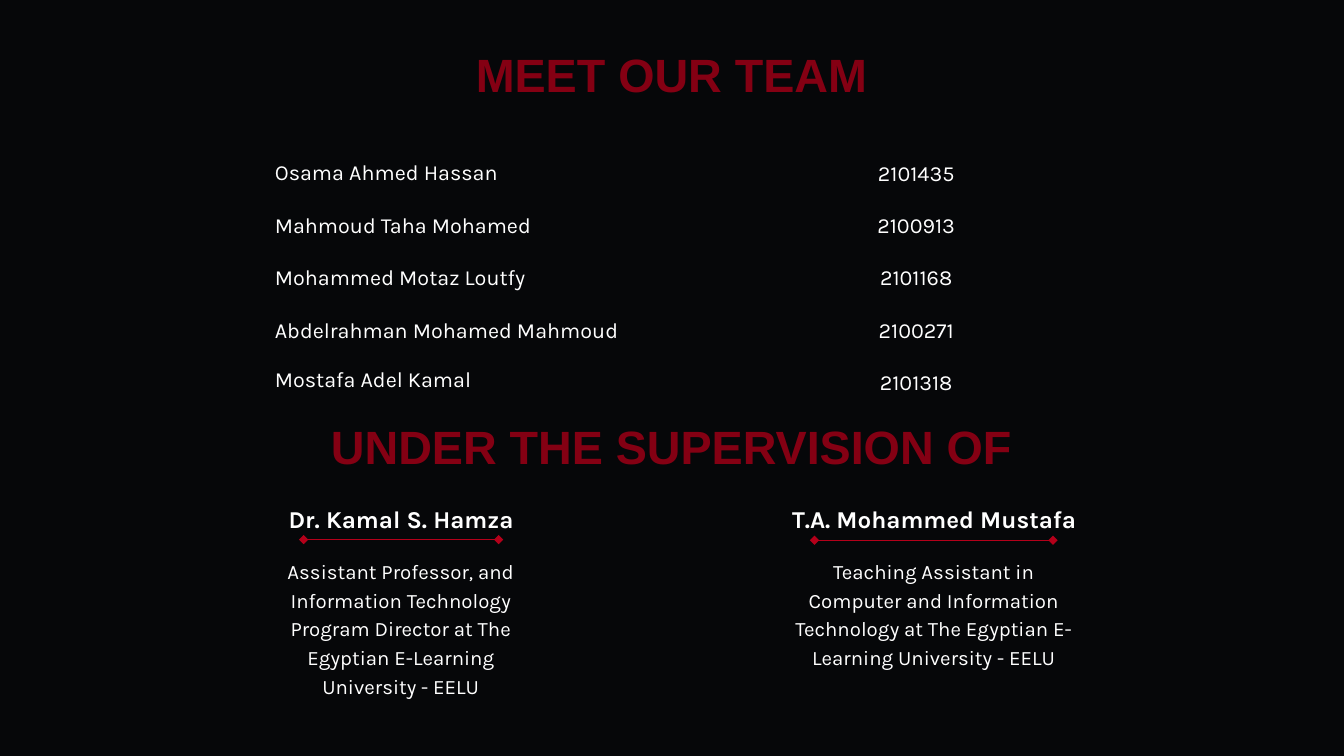
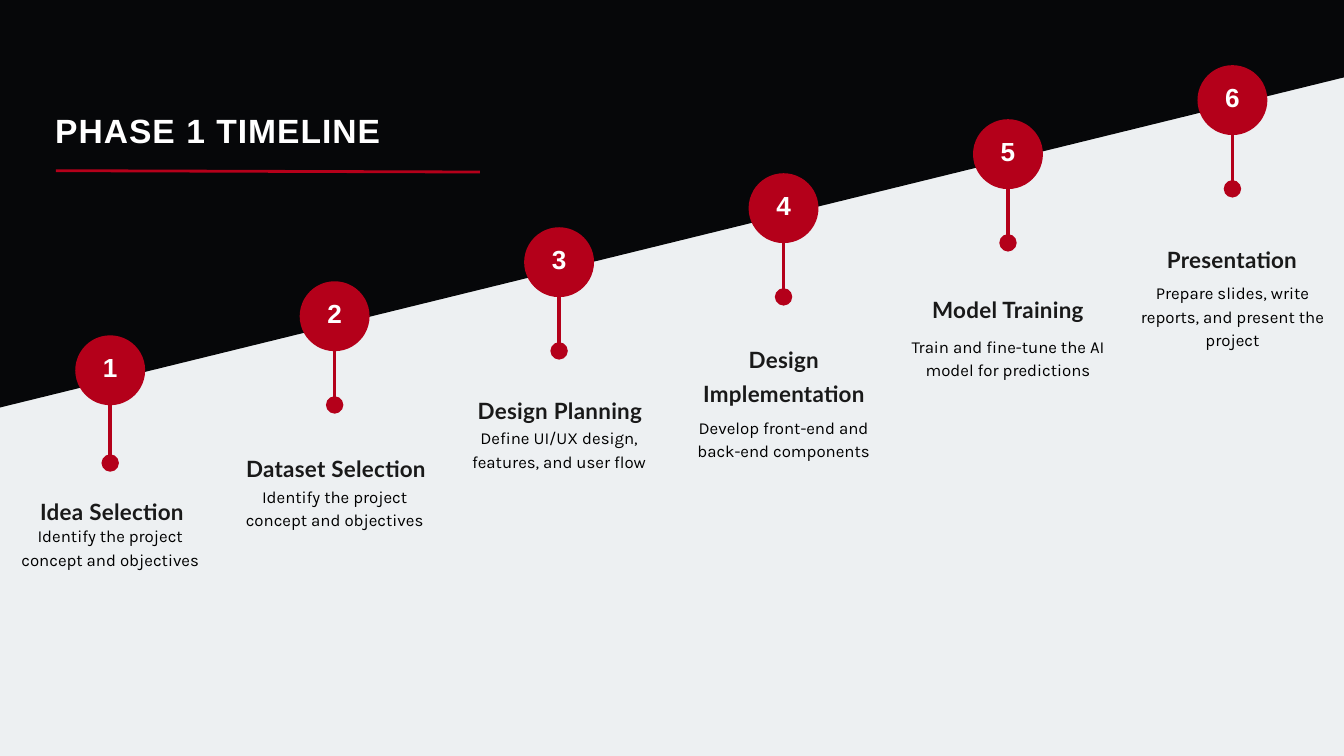
from pptx import Presentation
from pptx.dml.color import RGBColor
from pptx.enum.shapes import MSO_CONNECTOR as Connector, MSO_SHAPE as Shape
from pptx.enum.text import MSO_ANCHOR as Anchor, MSO_AUTO_SIZE as AutoSize, PP_ALIGN as Align
from pptx.oxml.ns import qn
from pptx.util import Inches, Pt
from lxml.etree import SubElement

BLACK = RGBColor(0x00, 0x00, 0x00)
NIGHT = RGBColor(0x06, 0x07, 0x09)
INK = RGBColor(0x19, 0x19, 0x19)
RED = RGBColor(0xB4, 0x00, 0x1A)
DARK_RED = RGBColor(0x84, 0x00, 0x13)
MIST = RGBColor(0xED, 0xF0, 0xF2)
WHITE = RGBColor(0xFF, 0xFF, 0xFF)

STYLES = {
    "heading": ("Arial", 50, True, DARK_RED, Align.CENTER, 70, 0),
    "member": ("Karla", 23.1, False, WHITE, Align.JUSTIFY, 32.3, 0),
    "number": ("Karla", 23.1, False, WHITE, Align.CENTER, 32.3, 0),
    "supervisor": ("Karla", 25.9, True, WHITE, Align.CENTER, 36.3, 0),
    "role": ("Karla", 21.9, False, WHITE, Align.CENTER, 30.7, 0),
    "title": ("Arial", 36, True, WHITE, Align.LEFT, 43.2, 1.1),
    "step": ("Arial", 28, True, WHITE, Align.CENTER, 39.2, 0),
    "phase": ("Lato", 24, True, INK, Align.CENTER, 36, 0.3),
    "detail": ("Karla", 18, False, BLACK, Align.CENTER, 25.2, 0),
}


def write_text(frame, text, style):
    name, size, bold, colour, alignment, leading, tracking = STYLES[style]
    para = frame.paragraphs[0]
    for key, value in {"alignment": alignment, "line_spacing": Pt(leading)}.items():
        setattr(para, key, value)
    span = para.add_run()
    span.text = text
    for key, value in {"name": name, "size": Pt(size), "bold": bold}.items():
        setattr(span.font, key, value)
    span.font.color.rgb = colour
    if tracking:
        span.font._element.set("spc", str(round(tracking * 100)))


def draw_line(page, start, end, width, ends):
    line = page.shapes.add_connector(Connector.STRAIGHT, *map(Inches, start + end))
    line.line.color.rgb = RED
    line.line.width = Pt(width)
    SubElement(line._element.spPr, qn("a:effectLst"))
    for tag, kind in ends.items():
        SubElement(line.line._get_or_add_ln(), qn(f"a:{tag}"), type=kind, w="lg", len="lg")


deck = Presentation()
deck.slide_width = Inches(20)
deck.slide_height = Inches(11.25)
team, timeline = [deck.slides.add_slide(deck.slide_layouts[6]) for _ in range(2)]
for page in (team, timeline):
    page.background.fill.solid()
    page.background.fill.fore_color.rgb = NIGHT

texts = [
    (team, (6.1, 0.55, 7.79, 1.01), "MEET OUR TEAM", "heading"),
    (team, (3.07, 6.08, 13.85, 1.01), "UNDER THE SUPERVISION OF", "heading"),
    (timeline, (0.82, 1.64, 7.91, 0.65), "PHASE 1 TIMELINE", "title"),
]
solids = []

members = [
    ("Osama Ahmed Hassan", "2101435", 2.3),
    ("Mahmoud Taha Mohamed", "2100913", 3.09),
    ("Mohammed Motaz Loutfy", "2101168", 3.87),
    ("Abdelrahman Mohamed Mahmoud", "2100271", 4.65),
    ("Mostafa Adel Kamal", "2101318", 5.38),
]
for row, (name, number, top) in enumerate(members):
    texts.append((team, (4.09, top, 5.76, 0.44), name, "member"))
    texts.append((team, (11.36, 2.31 + 0.78 * row, 4.55, 0.44), number, "number"))

supervisors = [
    (5.97, "Dr. Kamal S. Hamza", 4.52, 7.42, 8.03, 2.07,
     "Assistant Professor, and Information Technology Program Director "
     "at The Egyptian E-Learning University - EELU"),
    (13.9, "T.A. Mohammed Mustafa", 12.12, 15.67, 8.04, 1.66,
     "Teaching Assistant in Computer and Information Technology "
     "at The Egyptian E-Learning University - EELU"),
]
for centre, name, left, right, level, height, role in supervisors:
    texts.append((team, (centre - 2.23, 7.43, 4.46, 0.48), name, "supervisor"))
    texts.append((team, (centre - 2.07, 8.26, 4.13, height), role, "role"))
    draw_line(team, (left, level), (right, level), 1.5,
              {"headEnd": "diamond", "tailEnd": "diamond"})

phases = [
    ("Idea Selection", 7.34, 0.86, 7.78, 1.01, "Identify the project concept and objectives"),
    ("Dataset Selection", 6.71, 0.8, 7.19, 1.01, "Identify the project concept and objectives"),
    ("Design Planning", 5.84, 0.8, 6.32, 0.67, "Define UI/UX design, features, and user flow"),
    ("Design Implementation", 5.09, 0.8, 6.16, 0.67, "Develop front-end and back-end components"),
    ("Model Training", 4.34, 0.8, 4.96, 0.67, "Train and fine-tune the AI model for predictions"),
    ("Presentation", 3.59, 0.8, 4.16, 1.01, "Prepare slides, write reports, and present the project"),
]
grid = timeline.shapes.add_table(1, len(phases), *map(Inches, (0, -0.03, 20, 11.28))).table
grid.first_row = grid.horz_banding = False
for cell, (phase, inset, *_) in zip(grid.rows[0].cells, phases):
    margins = {"margin_left": 0.21, "margin_right": 0.21, "margin_top": inset, "margin_bottom": 0.21}
    for key, value in margins.items():
        setattr(cell, key, Inches(value))
    for side in ("lnL", "lnR", "lnT", "lnB"):
        border = SubElement(cell._tc.get_or_add_tcPr(), qn(f"a:{side}"), w="0")
        SubElement(border, qn("a:noFill"))
    cell.fill.solid()
    cell.fill.fore_color.rgb = MIST
    write_text(cell.text_frame, phase, "phase")

slope = timeline.shapes.add_shape(Shape.RECTANGLE, *map(Inches, (-2.2, -2.43, 22.67, 6.16)))
slope.rotation = 346.2
solids.append((slope, NIGHT))

DISC = 1.04
for step, (phase, inset, stem, top, height, detail) in enumerate(phases):
    left, level = 1.12 + 3.34 * step, 4.99 - 0.804 * step
    disc = timeline.shapes.add_shape(Shape.OVAL, *map(Inches, (left, level, DISC, DISC)))
    frame = disc.text_frame
    frame.vertical_anchor = Anchor.MIDDLE
    for key, value in {"left": 0, "right": 0, "top": 0, "bottom": 0.16}.items():
        setattr(frame, f"margin_{key}", Inches(value))
    write_text(frame, str(step + 1), "step")
    solids.append((disc, RED))
    centre, foot = left + DISC / 2, level + DISC
    draw_line(timeline, (centre, foot), (centre, foot + stem), 3.75, {"tailEnd": "oval"})
    texts.append((timeline, (0.18 + 3.34 * step, top, 2.92, height), detail, "detail"))

draw_line(timeline, (0.83, 2.54), (7.14, 2.56), 3, {})

for solid, colour in solids:
    solid.shadow.inherit = False
    solid.fill.solid()
    solid.fill.fore_color.rgb = colour
    solid.line.fill.background()

for page, place, text, style in texts:
    frame = page.shapes.add_textbox(*map(Inches, place)).text_frame
    settings = {"word_wrap": True, "auto_size": AutoSize.SHAPE_TO_FIT_TEXT, "margin_left": 0,
                "margin_right": 0, "margin_top": 0, "margin_bottom": 0}
    for key, value in settings.items():
        setattr(frame, key, value)
    write_text(frame, text, style)

deck.save("out.pptx")
